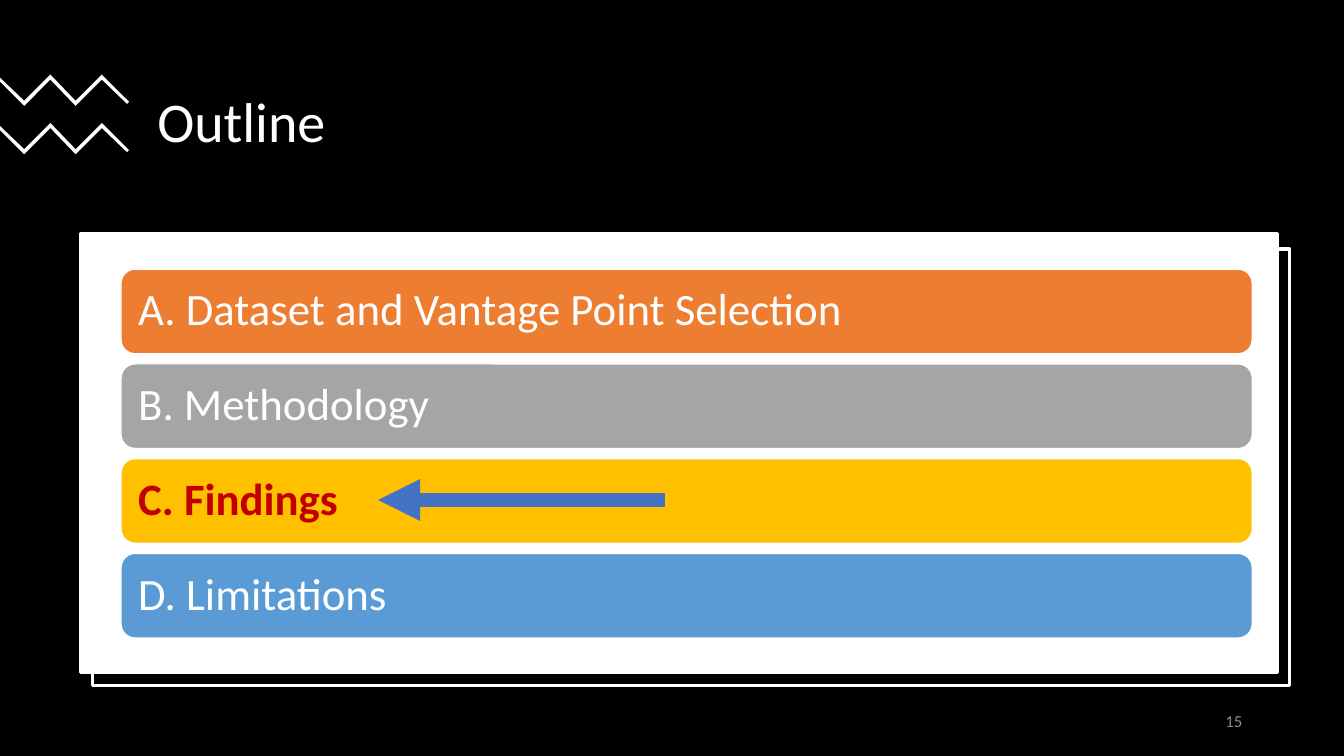
"""Build the Outline slide with four agenda bars and an arrow at Findings."""
from lxml.etree import SubElement
from pptx import Presentation
from pptx.dml.color import RGBColor
from pptx.enum.shapes import MSO_CONNECTOR as Connector, MSO_SHAPE as Shape
from pptx.enum.text import MSO_ANCHOR as Anchor, MSO_AUTO_SIZE as AutoSize, PP_ALIGN as Align
from pptx.oxml.ns import qn
from pptx.util import Pt

PX = 9144
COLORS = {
    "black": "000000", "white": "FFFFFF", "orange": "ED7D31", "gray": "A5A5A5",
    "gold": "FFC000", "sky": "5B9BD5", "red": "C00000", "blue": "4472C4", "number": "8C8C8C",
}


def paint(shape, fill, line=None, width=0):
    shape.shadow.inherit = False
    shape.fill.solid()
    shape.fill.fore_color.rgb = RGBColor.from_string(COLORS[fill])
    if line:
        shape.line.color.rgb = RGBColor.from_string(COLORS[line])
        shape.line.width = Pt(width)
    else:
        shape.line.fill.background()


def write(shape, text, color, size, align=Align.LEFT, inset=10, spacing=0.9, bold=False):
    frame = shape.text_frame
    frame_format = {
        "word_wrap": True, "auto_size": AutoSize.NONE, "vertical_anchor": Anchor.MIDDLE,
        "margin_left": inset * PX, "margin_right": inset * PX,
        "margin_top": 5 * PX, "margin_bottom": 5 * PX,
    }
    for name, value in frame_format.items():
        setattr(frame, name, value)
    para = frame.paragraphs[0]
    para.alignment = align
    para.line_spacing = spacing
    span = para.add_run()
    span.text = text
    for name, value in {"name": "Calibri", "size": Pt(size), "bold": bold}.items():
        setattr(span.font, name, value)
    span.font.color.rgb = RGBColor.from_string(COLORS[color])


deck = Presentation()
deck.slide_width = 1333 * PX
deck.slide_height = 750 * PX
page = deck.slides.add_slide(deck.slide_layouts[5])
page.background.fill.solid()
page.background.fill.fore_color.rgb = RGBColor.from_string(COLORS["black"])

title = page.shapes.title
for name, value in {"left": 146, "top": 62, "width": 1066, "height": 123}.items():
    setattr(title, name, value * PX)
write(title, "Outline", "white", 40)

ZIGZAG = [
    (50, 0), (75, 26), (101, 0), (128, 27), (126, 29), (101, 5),
    (75, 31), (50, 5), (24, 31), (0, 7), (0, 3), (24, 26),
]
for top in (74, 122):
    points = [(x, top + y) for x, y in ZIGZAG]
    outline = page.shapes.build_freeform(*points[0], scale=PX)
    outline.add_line_segments(points[1:], close=True)
    paint(outline.convert_to_shape(), "white")

for left, top, height, fill in ((92, 247, 433, "black"), (80, 232, 435, "white")):
    panel = page.shapes.add_shape(
        Shape.RECTANGLE, left * PX, top * PX, 1187 * PX, height * PX)
    paint(panel, fill, "white", 2.25)

TOPICS = [
    ("A. Dataset and Vantage Point Selection", "orange", "white"),
    ("B. Methodology", "gray", "white"),
    ("C. Findings", "gold", "red"),
    ("D. Limitations", "sky", "white"),
]
for row, (topic, fill, color) in enumerate(TOPICS):
    bar = page.shapes.add_shape(
        Shape.ROUNDED_RECTANGLE, 120 * PX, (267 + 94 * row) * PX, 1122 * PX, 84 * PX)
    paint(bar, fill, "white", 1)
    write(bar, topic, color, 32, inset=13, bold=color == "red")

number = page.shapes.add_textbox(942 * PX, 695 * PX, 300 * PX, 40 * PX)
write(number, "15", "number", 12, align=Align.RIGHT, spacing=1.0)

arrow = page.shapes.add_connector(
    Connector.STRAIGHT, 660 * PX, 496 * PX, 375 * PX, 496 * PX)
arrow.line.color.rgb = RGBColor.from_string(COLORS["blue"])
arrow.line.width = Pt(10)
SubElement(arrow.line._get_or_add_ln(), qn("a:tailEnd"), type="triangle")
SubElement(arrow._element.spPr, qn("a:effectLst"))

deck.save("out.pptx")
